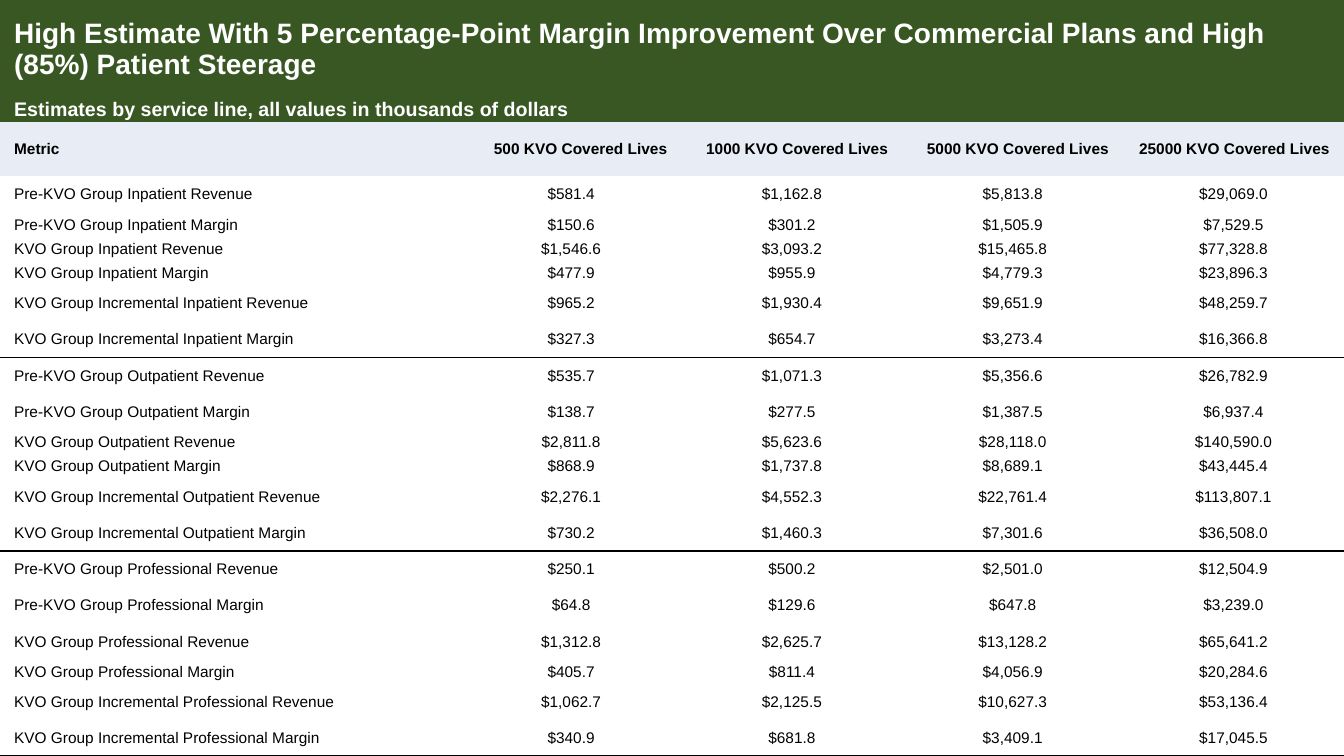
"""Build a slide with a table of high-estimate margins by service line."""
from lxml.etree import SubElement
from pptx import Presentation
from pptx.dml.color import RGBColor
from pptx.enum.text import MSO_ANCHOR, PP_ALIGN
from pptx.oxml.ns import qn
from pptx.util import Inches, Pt

COLORS = {"green": "385723", "header": "E7ECF5", "white": "FFFFFF", "black": "000000"}
NO_STYLE = "{2D5ABB26-0587-4C30-8999-92F81FD0307C}"
TITLE = ("High Estimate With 5 Percentage-Point Margin Improvement Over "
         "Commercial Plans and High (85%) Patient Steerage")
SUBTITLE = "Estimates by service line, all values in thousands of dollars"
METRICS = ["Pre-KVO Group {} Revenue", "Pre-KVO Group {} Margin",
           "KVO Group {} Revenue", "KVO Group {} Margin",
           "KVO Group Incremental {} Revenue", "KVO Group Incremental {} Margin"]
LIVES = [500, 1000, 5000, 25000]
SERVICE_LINES = {
    "Inpatient": [
        (581.4, 1162.8, 5813.8, 29069.0),
        (150.6, 301.2, 1505.9, 7529.5),
        (1546.6, 3093.2, 15465.8, 77328.8),
        (477.9, 955.9, 4779.3, 23896.3),
        (965.2, 1930.4, 9651.9, 48259.7),
        (327.3, 654.7, 3273.4, 16366.8),
    ],
    "Outpatient": [
        (535.7, 1071.3, 5356.6, 26782.9),
        (138.7, 277.5, 1387.5, 6937.4),
        (2811.8, 5623.6, 28118.0, 140590.0),
        (868.9, 1737.8, 8689.1, 43445.4),
        (2276.1, 4552.3, 22761.4, 113807.1),
        (730.2, 1460.3, 7301.6, 36508.0),
    ],
    "Professional": [
        (250.1, 500.2, 2501.0, 12504.9),
        (64.8, 129.6, 647.8, 3239.0),
        (1312.8, 2625.7, 13128.2, 65641.2),
        (405.7, 811.4, 4056.9, 20284.6),
        (1062.7, 2125.5, 10627.3, 53136.4),
        (340.9, 681.8, 3409.1, 17045.5),
    ],
}
COL_WIDTHS = [4.57] + [2.19] * 4
TALL, SHORT = 0.36, 0.24
ROW_HEIGHTS = [0.97, SHORT, 0.54,
               TALL, SHORT, SHORT, SHORT, TALL, TALL,
               TALL, TALL, SHORT, SHORT, TALL, TALL,
               TALL, TALL, TALL, SHORT, TALL, 0.35]


def write_cell(cell, text, size=11, color="black", bold=False, align=PP_ALIGN.LEFT, fill=None):
    cell.margin_left = cell.margin_right = Inches(0.14)
    cell.margin_top = cell.margin_bottom = 0
    cell.vertical_anchor = MSO_ANCHOR.MIDDLE
    if fill:
        cell.fill.solid()
        cell.fill.fore_color.rgb = RGBColor.from_string(COLORS[fill])
    else:
        cell.fill.background()
    p = cell.text_frame.paragraphs[0]
    p.text = text
    p.alignment = align
    font = p.runs[0].font
    font.name, font.size, font.bold = "Arial", Pt(size), bold
    font.color.rgb = RGBColor.from_string(COLORS[color])


def set_borders(cell, top, bottom):
    tc_pr = cell._tc.get_or_add_tcPr()
    for position, (side, visible) in enumerate([("lnT", top), ("lnB", bottom)]):
        ln = SubElement(tc_pr, qn(f"a:{side}"), w=str(Pt(1)))
        if visible:
            SubElement(SubElement(ln, qn("a:solidFill")), qn("a:srgbClr"), val=COLORS["black"])
        else:
            SubElement(ln, qn("a:noFill"))
        tc_pr.insert(position, ln)


prs = Presentation()
prs.slide_width, prs.slide_height = Inches(13.33), Inches(7.5)
s = prs.slides.add_slide(prs.slide_layouts[6])

frame = s.shapes.add_table(len(ROW_HEIGHTS), len(COL_WIDTHS), 0, 0,
                           prs.slide_width, prs.slide_height)
table = frame.table
table.first_row = table.horz_banding = False
table._tbl.tblPr.find(qn("a:tableStyleId")).text = NO_STYLE
for column, width in zip(table.columns, COL_WIDTHS):
    column.width = Inches(width)
for row, height in zip(table.rows, ROW_HEIGHTS):
    row.height = Inches(height)

for i, (text, size) in enumerate([(TITLE, 20), (SUBTITLE, 14)]):
    table.cell(i, 0).merge(table.cell(i, len(LIVES)))
    write_cell(table.cell(i, 0), text, size, "white", True, fill="green")

write_cell(table.cell(2, 0), "Metric", bold=True, fill="header")
for j, lives in enumerate(LIVES, 1):
    write_cell(table.cell(2, j), f"{lives} KVO Covered Lives", bold=True,
               align=PP_ALIGN.RIGHT, fill="header")

row_index = 3
for line_index, (service_line, rows) in enumerate(SERVICE_LINES.items()):
    for metric, values in zip(METRICS, rows):
        write_cell(table.cell(row_index, 0), metric.format(service_line))
        for j, value in enumerate(values, 1):
            write_cell(table.cell(row_index, j), f"${value:,.1f}", align=PP_ALIGN.CENTER)
        for cell in table.rows[row_index].cells:
            set_borders(cell, top=metric == METRICS[0] and line_index > 0,
                        bottom=metric == METRICS[-1])
        row_index += 1

prs.save("out.pptx")
